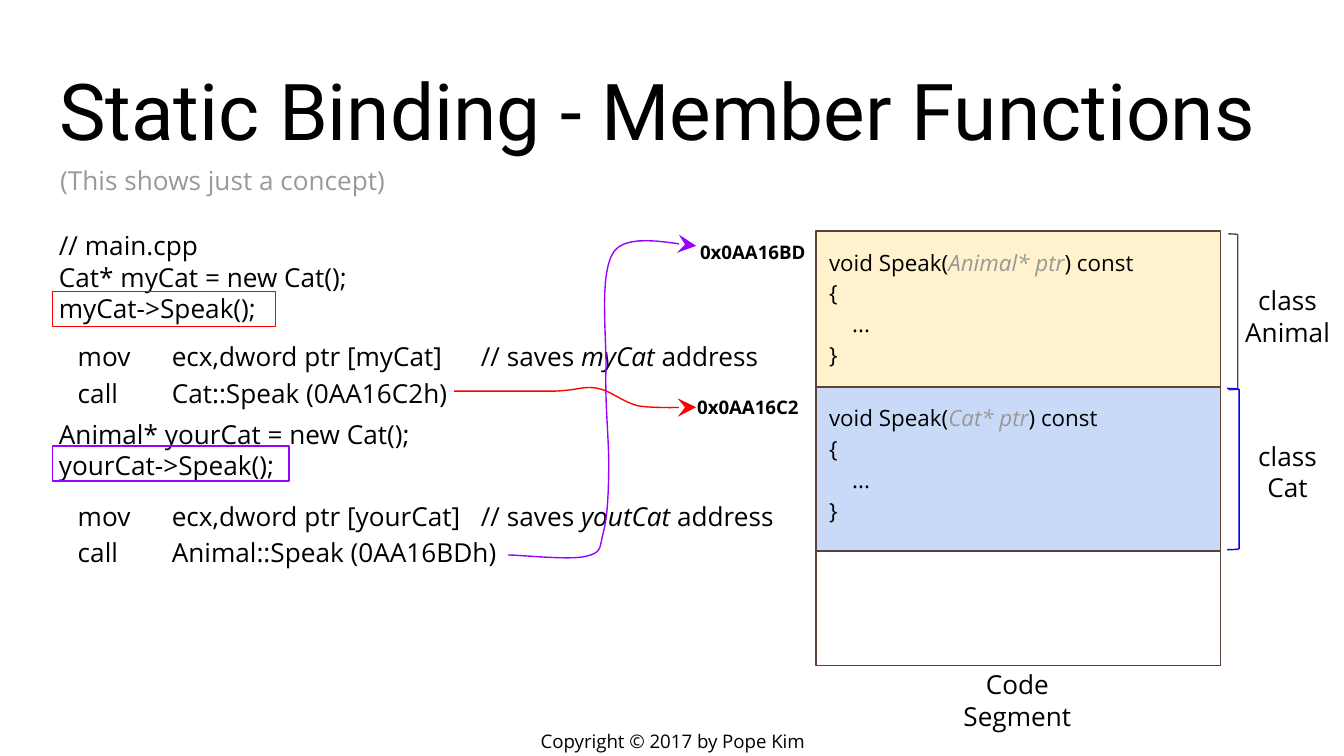
"""Build a slide on how static binding resolves member functions."""
from dataclasses import dataclass

from lxml.etree import SubElement
from pptx import Presentation
from pptx.dml.color import RGBColor
from pptx.enum.shapes import MSO_SHAPE
from pptx.enum.text import MSO_ANCHOR, PP_ALIGN
from pptx.oxml.ns import qn
from pptx.util import Inches, Pt


@dataclass(frozen=True)
class Theme:
    heading_font: str = "Roboto"
    body_font: str = "Open Sans"
    title_size: int = 42
    body_size: int = 14
    code_size: int = 12
    small_size: int = 10
    line_width: float = 0.75
    black: str = "000000"
    grey: str = "999999"
    brown: str = "5D4037"
    blue: str = "0000FF"
    red: str = "FF0000"
    purple: str = "9900FF"
    cream: str = "FFF2CC"
    pale_blue: str = "C9DAF8"


theme = Theme()


def write(shape, text, size=theme.body_size, font=theme.body_font, color=theme.black,
          accent=theme.black, align=PP_ALIGN.LEFT, anchor=MSO_ANCHOR.TOP, spacing=1.0, bold=False):
    frame = shape.text_frame
    frame.word_wrap = True
    frame.vertical_anchor = anchor
    frame.margin_left = frame.margin_right = Inches(0.1)
    frame.margin_top = frame.margin_bottom = Inches(0.1)
    frame.text = text
    for para in frame.paragraphs:
        pieces = para.text.split("|")
        para.clear()
        para.alignment = align
        para.line_spacing = spacing
        for index, piece in enumerate(pieces):
            italic = index % 2 == 1
            span = para.add_run()
            span.text = piece
            span.font.name = font
            span.font.size = Pt(size)
            span.font.bold = bold
            span.font.italic = italic
            span.font.color.rgb = RGBColor.from_string(accent if italic else color)
    return frame


def outline(shape, line, fill=None):
    shape.shadow.inherit = False
    shape.line.color.rgb = RGBColor.from_string(line)
    shape.line.width = Pt(theme.line_width)
    if fill:
        shape.fill.solid()
        shape.fill.fore_color.rgb = RGBColor.from_string(fill)
    else:
        shape.fill.background()


deck = Presentation()
deck.slide_width = Inches(10)
deck.slide_height = Inches(10 * 9 / 16)
page = deck.slides.add_slide(deck.slide_layouts[5])
shapes = page.shapes

title = shapes.title
title.left, title.top, title.width, title.height = map(Inches, (0.34, 0.35, 9.32, 0.91))
write(title, "Static Binding - Member Functions", theme.title_size, theme.heading_font,
      anchor=MSO_ANCHOR.BOTTOM)

subtitle = shapes.add_textbox(*map(Inches, (0.35, 1.12, 4.6, 0.49)))
write(subtitle, "(This shows just a concept)", color=theme.grey)

segment = shapes.add_shape(MSO_SHAPE.RECTANGLE, *map(Inches, (6.07, 1.74, 3.01, 3.21)))
outline(segment, theme.brown)

centred_labels = (
    ("Copyright © 2017 by Pope Kim", theme.small_size, 3.77, 5.41, 2.47, 0.21),
    ("Code Segment", theme.body_size, 6.93, 4.95, 1.28, 0.52),
    ("class\nAnimal", theme.body_size, 9.04, 2.09, 1.08, 0.52),
    ("class\nCat", theme.body_size, 9.04, 3.25, 1.08, 0.52),
)
for text, size, *place in centred_labels:
    label = shapes.add_textbox(*map(Inches, place))
    write(label, text, size, align=PP_ALIGN.CENTER, anchor=MSO_ANCHOR.MIDDLE)

classes = (
    ("Animal", 1.72, theme.cream, theme.brown, (9.14, 1.74, 0.07, 1.16)),
    ("Cat", 2.88, theme.pale_blue, theme.blue, (9.13, 2.89, 0.09, 1.2)),
)
for name, top, fill, bracket_color, bracket_place in classes:
    box = shapes.add_shape(MSO_SHAPE.RECTANGLE, *map(Inches, (6.07, top, 3.01, 1.22)))
    outline(box, theme.brown, fill)
    write(box, f"void Speak(|{name}* ptr|) const\n{{\n    ...\n}}", theme.code_size,
          accent=theme.grey, spacing=1.15)
    bracket = shapes.add_shape(MSO_SHAPE.LEFT_BRACKET, *map(Inches, bracket_place))
    bracket.rotation = 180
    bracket.adjustments[0] = 0.083
    outline(bracket, bracket_color)

source_lines = (
    "// main.cpp", "Cat* myCat = new Cat();", "myCat->Speak();",
    "Animal* yourCat = new Cat();", "yourCat->Speak();",
)
source = shapes.add_textbox(*map(Inches, (0.34, 1.61, 4.14, 2.27)))
source_frame = write(source, "\n".join(source_lines))
source_frame.paragraphs[3].space_before = Pt(50.4)

assembly = (
    (2.47, "mov\tecx,dword ptr [myCat]\t// saves |myCat| address\ncall\tCat::Speak (0AA16C2h)"),
    (3.66, "mov\tecx,dword ptr [yourCat]\t// saves |youtCat| address\ncall\tAnimal::Speak (0AA16BDh)"),
)
for top, text in assembly:
    listing = shapes.add_textbox(*map(Inches, (0.48, top, 5.42, 0.6)))
    frame = write(listing, text, anchor=MSO_ANCHOR.MIDDLE, spacing=1.15)
    for para in frame.paragraphs:
        tabs = SubElement(para._p.get_or_add_pPr(), qn("a:tabLst"))
        for stop in (0.7, 3.0):
            SubElement(tabs, qn("a:tab"), pos=str(Inches(stop)), algn="l")

addresses = (("0x0AA16BD", 4.93, 1.72, 1.16), ("0x0AA16C2", 4.98, 2.88, 1.06))
for text, left, top, width in addresses:
    address = shapes.add_textbox(*map(Inches, (left, top, width, 0.28)))
    write(address, text, theme.small_size, align=PP_ALIGN.RIGHT,
          anchor=MSO_ANCHOR.MIDDLE, spacing=1.15, bold=True)

for top, width, color in ((2.17, 1.66, theme.red), (3.32, 1.76, theme.purple)):
    call_frame = shapes.add_shape(MSO_SHAPE.RECTANGLE, *map(Inches, (0.39, top, width, 0.26)))
    outline(call_frame, color)

call_curves = (
    (theme.red, (3.38, 2.91), (
        ((3.5, 2.91), (3.96, 2.91), (4.14, 2.91)),
        ((4.32, 2.9), (4.34, 2.87), (4.45, 2.89)),
        ((4.55, 2.91), (4.63, 2.99), (4.75, 3.02)),
        ((4.87, 3.04), (5.11, 3.03), (5.18, 3.03)),
    )),
    (theme.purple, (3.78, 4.13), (
        ((3.88, 4.13), (4.24, 4.17), (4.36, 4.14)),
        ((4.48, 4.11), (4.46, 4.08), (4.49, 3.96)),
        ((4.52, 3.85), (4.53, 3.66), (4.53, 3.45)),
        ((4.53, 3.25), (4.5, 2.99), (4.51, 2.73)),
        ((4.51, 2.46), (4.46, 2.02), (4.57, 1.87)),
        ((4.68, 1.72), (5.07, 1.83), (5.18, 1.83)),
    )),
)
steps = 12
for color, start, curves in call_curves:
    points = []
    knot = start
    for first, second, end in curves:
        for step in range(1, steps + 1):
            t = step / steps
            weights = ((1 - t) ** 3, 3 * t * (1 - t) ** 2, 3 * t ** 2 * (1 - t), t ** 3)
            corners = (knot, first, second, end)
            points.append(tuple(
                Inches(sum(weight * corner[axis] for weight, corner in zip(weights, corners)))
                for axis in (0, 1)
            ))
        knot = end
    builder = shapes.build_freeform(*map(Inches, start))
    builder.add_line_segments(points, close=False)
    arrow = builder.convert_to_shape()
    outline(arrow, color)
    SubElement(arrow.line._get_or_add_ln(), qn("a:tailEnd"), type="stealth", w="lg", len="lg")

deck.save("out.pptx")
